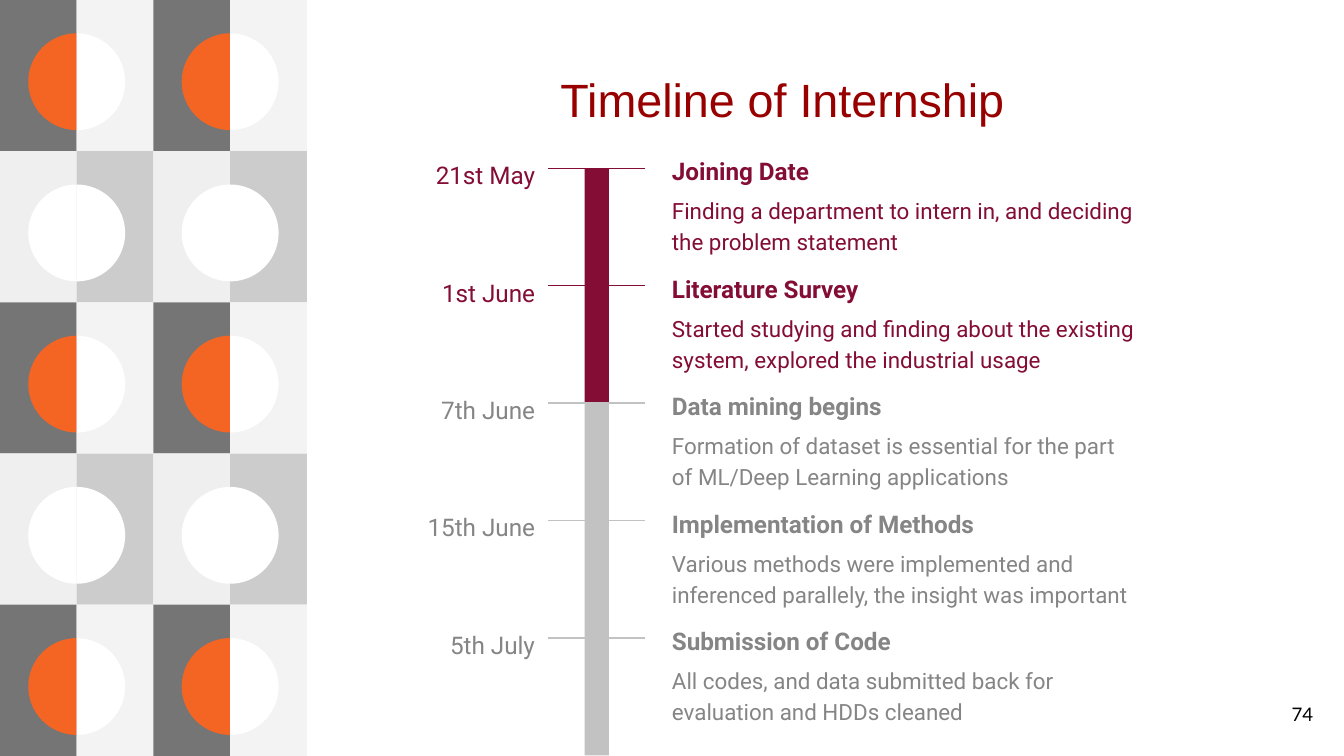
from lxml import etree
from pptx import Presentation
from pptx import util as u
from pptx.dml.color import RGBColor
from pptx.enum import shapes, text
from pptx.oxml.ns import qn

COLORS = {
    "dark": "757575", "pale": "F3F3F3", "light": "EFEFEF", "mid": "CCCCCC",
    "orange": "F46524", "white": "FFFFFF", "black": "000000", "title": "980000",
    "done": "840D35", "pending_bar": "C2C2C2", "pending_text": "858585",
}
MILESTONES = [
    ("21st May", "Joining Date",
     "Finding a department to intern in, and deciding the problem statement"),
    ("1st June", "Literature Survey",
     "Started studying and finding about the existing system, explored the industrial usage"),
    ("7th June", "Data mining begins",
     "Formation of dataset is essential for the part of ML/Deep Learning applications"),
    ("15th June", "Implementation of Methods",
     "Various methods were implemented and inferenced parallely, the insight was important"),
    ("5th July", "Submission of Code",
     "All codes, and data submitted back for evaluation and HDDs cleaned"),
]
DONE_COUNT = 2

presentation = Presentation()
presentation.slide_width = u.Cm(25.4)
presentation.slide_height = u.Cm(14.29)
slide = presentation.slides.add_slide(presentation.slide_layouts[6])


def add_filled(kind, left, top, width, height, color):
    shape = slide.shapes.add_shape(kind, u.Cm(left), u.Cm(top), u.Cm(width), u.Cm(height))
    shape.shadow.inherit = False
    shape.fill.solid()
    shape.fill.fore_color.rgb = RGBColor.from_string(COLORS[color])
    shape.line.fill.background()
    return shape


def add_text(words, left, top, width, height, size, color, font="Roboto",
             align="LEFT", bold=False, spacing=1.15, after=0, anchor="TOP"):
    """Add a one-paragraph text box; lengths are in centimetres."""
    box = slide.shapes.add_textbox(u.Cm(left), u.Cm(top), u.Cm(width), u.Cm(height))
    frame = box.text_frame
    frame.word_wrap = True
    frame.vertical_anchor = text.MSO_ANCHOR[anchor]
    frame.margin_left = frame.margin_right = u.Cm(0.25)
    frame.margin_top = frame.margin_bottom = u.Cm(0.25)
    paragraph = frame.paragraphs[0]
    paragraph.alignment = text.PP_ALIGN[align]
    paragraph.line_spacing = spacing
    paragraph.space_after = u.Pt(after)
    run = paragraph.add_run()
    run.text = words
    run.font.name = font
    run.font.size = u.Pt(size)
    run.font.bold = bold
    run.font.color.rgb = RGBColor.from_string(COLORS[color])


# Tile pattern: two tiles across, five down, each with two halves and a split circle
RECTANGLE = shapes.MSO_SHAPE.RECTANGLE
half_width, tile_height, diameter = 1.45, 14.29 / 5, 1.83
for row in range(5):
    if row % 2 == 0:
        halves, circle = ("dark", "pale"), ("orange", "white")
    else:
        halves, circle = ("light", "mid"), ("white", "white")
    top = row * tile_height
    for column in range(2):
        left = column * 2 * half_width
        for side in range(2):
            add_filled(RECTANGLE, left + side * half_width, top,
                       half_width, tile_height, halves[side])
        for side in range(2):
            chord = add_filled(shapes.MSO_SHAPE.CHORD, left + half_width - diameter / 2,
                               top + 0.63, diameter, diameter, circle[side])
            chord.adjustments[0] = 54
            chord.adjustments[1] = 162
            chord.rotation = side * 180

add_text("74", 23.19, 12.95, 1.88, 1.09, 10, "black", font="Lato",
         align="RIGHT", spacing=1, anchor="MIDDLE")

# Timeline
step = 2.22
for index, (date, heading, description) in enumerate(MILESTONES):
    top = 3.18 + index * step
    done = index < DONE_COUNT
    bar_color = "done" if done else "pending_bar"
    text_color = "done" if done else "pending_text"
    add_filled(RECTANGLE, 11.05, top, 0.46, step, bar_color)
    tick = slide.shapes.add_connector(shapes.MSO_CONNECTOR.STRAIGHT,
                                      u.Cm(12.19), u.Cm(top), u.Cm(10.36), u.Cm(top))
    tick.line.color.rgb = RGBColor.from_string(COLORS[bar_color])
    tick.line.width = u.Pt(0.75)
    etree.SubElement(tick._element.spPr, qn("a:effectLst"))
    add_text(heading, 12.45, top - 0.55, 9.35, 0.76, 13, text_color, bold=True)
    add_text(description, 12.45, top + 0.23, 9.35, 1.14, 12, text_color, after=16)
    add_text(date, 7.77, top - 0.48, 2.59, 0.97, 13, text_color, align="RIGHT")

add_text("Timeline of Internship", 7.9, 1.09, 13.77, 1.22, 25, "title",
         font="Arial", align="CENTER", spacing=1)

presentation.save("out.pptx")
